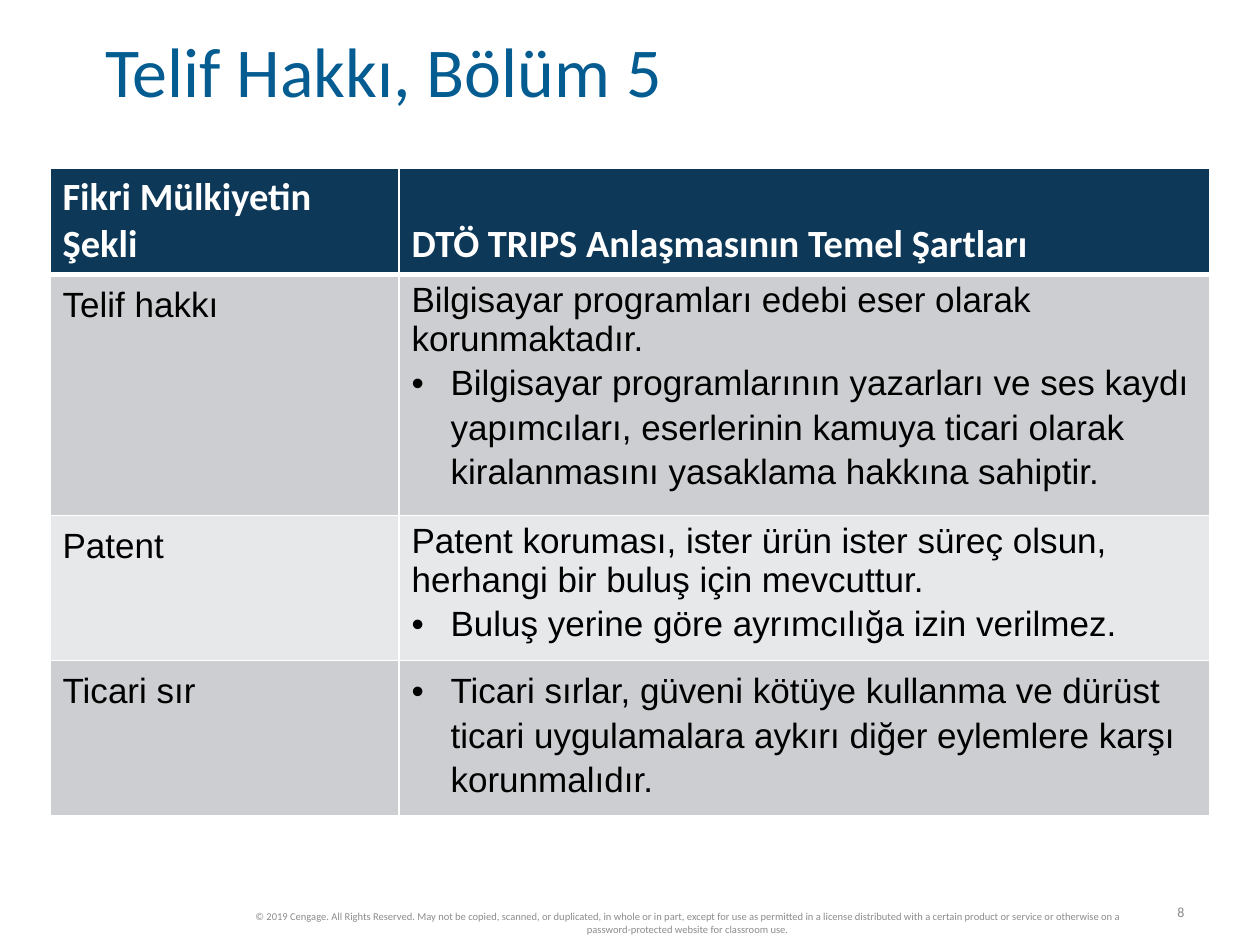
from lxml.etree import SubElement
from pptx import Presentation
from pptx.dml.color import RGBColor
from pptx.enum.text import MSO_ANCHOR, MSO_AUTO_SIZE, PP_ALIGN
from pptx.oxml.ns import qn
from pptx.util import Pt

EMU_PER_PX = 914400 / 126
WHITE = RGBColor(0xFF, 0xFF, 0xFF)
BLACK = RGBColor(0x00, 0x00, 0x00)
BLUE = RGBColor(0x05, 0x5C, 0x91)
NAVY = RGBColor(0x0D, 0x38, 0x57)
DARK_BAND = RGBColor(0xCC, 0xCE, 0xD1)
LIGHT_BAND = RGBColor(0xE7, 0xE8, 0xEA)
GRAY = RGBColor(0x8C, 0x8C, 0x8C)

TITLE_FONT = {"name": "Calibri", "size": Pt(40), "bold": False, "color": BLUE}
HEADER_FONT = {"name": "Calibri", "size": Pt(22), "bold": True, "color": WHITE}
BODY_FONT = {"name": "Arial", "size": Pt(20), "bold": False, "color": BLACK}
NUMBER_FONT = {"name": "Calibri", "size": Pt(8), "color": GRAY}
NOTICE_FONT = {"name": "Calibri", "size": Pt(6), "color": GRAY}

COLUMN_WIDTHS = [349, 811]
ROW_HEIGHTS = [104, 241, 145, 155]
HEADERS = ["Fikri Mülkiyetin Şekli", "DTÖ TRIPS Anlaşmasının Temel Şartları"]
PROTECTIONS = [
    (
        "Telif hakkı",
        "Bilgisayar programları edebi eser olarak korunmaktadır.",
        "Bilgisayar programlarının yazarları ve ses kaydı yapımcıları, "
        "eserlerinin kamuya ticari olarak kiralanmasını yasaklama hakkına sahiptir.",
    ),
    (
        "Patent",
        "Patent koruması, ister ürün ister süreç olsun, herhangi bir buluş için mevcuttur.",
        "Buluş yerine göre ayrımcılığa izin verilmez.",
    ),
    (
        "Ticari sır",
        None,
        "Ticari sırlar, güveni kötüye kullanma ve dürüst ticari uygulamalara "
        "aykırı diğer eylemlere karşı korunmalıdır.",
    ),
]
NOTICE = (
    "© 2019 Cengage. All Rights Reserved. May not be copied, scanned, or duplicated, "
    "in whole or in part, except for use as permitted in a license distributed with a "
    "certain product or service or otherwise on a password-protected website for classroom use."
)


def px(length):
    return round(length * EMU_PER_PX)


def set_format(target, values):
    for name, value in values.items():
        if name == "color":
            target.color.rgb = value
        else:
            setattr(target, name, value)


def write(para, text, font, **layout):
    set_format(para, layout)
    span = para.add_run()
    span.text = text
    set_format(span.font, font)


def add_bullet(para, indent):
    properties = para._p.get_or_add_pPr()
    properties.set("marL", str(px(indent)))
    properties.set("indent", str(-px(indent)))
    SubElement(properties, qn("a:buFont"), typeface="Arial")
    SubElement(properties, qn("a:buChar"), char="•")


def style_cell(cell, fill, top_width, bottom_width):
    properties = cell._tc.get_or_add_tcPr()
    widths = {"lnL": 1, "lnR": 1, "lnT": top_width, "lnB": bottom_width}
    for side, width in widths.items():
        line = SubElement(properties, qn(f"a:{side}"), w=str(Pt(width)))
        solid = SubElement(line, qn("a:solidFill"))
        SubElement(solid, qn("a:srgbClr"), val=str(WHITE))
    cell.fill.solid()
    cell.fill.fore_color.rgb = fill


def add_title(page, left, top, width, height):
    title = page.shapes.title
    box = {"left": left, "top": top, "width": width, "height": height}
    set_format(title, {name: px(value) for name, value in box.items()})
    set_format(title.text_frame, {
        "margin_left": 0, "margin_right": 0, "margin_top": 0, "margin_bottom": 0,
        "vertical_anchor": MSO_ANCHOR.MIDDLE, "auto_size": MSO_AUTO_SIZE.NONE,
    })
    write(title.text_frame.paragraphs[0], "Telif Hakkı, Bölüm 5", TITLE_FONT,
          alignment=PP_ALIGN.LEFT, line_spacing=0.85)


def add_protection_table(page, left, top):
    frame = page.shapes.add_table(
        len(ROW_HEIGHTS), len(COLUMN_WIDTHS), px(left), px(top),
        px(sum(COLUMN_WIDTHS)), px(sum(ROW_HEIGHTS)))
    table = frame.table
    for column, width in zip(table.columns, COLUMN_WIDTHS):
        column.width = px(width)
    for row, height in zip(table.rows, ROW_HEIGHTS):
        row.height = px(height)

    for index, header in enumerate(HEADERS):
        cell = table.cell(0, index)
        style_cell(cell, NAVY, 1, 3)
        cell.vertical_anchor = MSO_ANCHOR.BOTTOM if index else MSO_ANCHOR.TOP
        write(cell.text_frame.paragraphs[0], header, HEADER_FONT)

    for index, (form, statement, provision) in enumerate(PROTECTIONS, start=1):
        fill = DARK_BAND if index % 2 else LIGHT_BAND
        form_cell, terms_cell = table.cell(index, 0), table.cell(index, 1)
        for cell in (form_cell, terms_cell):
            style_cell(cell, fill, 3 if index == 1 else 1, 1)
        write(form_cell.text_frame.paragraphs[0], form, BODY_FONT, line_spacing=1.14)
        para = terms_cell.text_frame.paragraphs[0]
        if statement:
            write(para, statement, BODY_FONT)
            para = terms_cell.text_frame.add_paragraph()
        add_bullet(para, 39)
        write(para, provision, BODY_FONT, line_spacing=1.14)


def add_label(page, left, top, width, height, text, font, alignment, wrap):
    box = page.shapes.add_textbox(px(left), px(top), px(width), px(height))
    set_format(box.text_frame, {"word_wrap": wrap, "vertical_anchor": MSO_ANCHOR.MIDDLE})
    write(box.text_frame.paragraphs[0], text, font, alignment=alignment)


def add_footer(page, left, top):
    add_label(page, left + 934, top, 43, 30, "8", NUMBER_FONT, PP_ALIGN.RIGHT, False)
    add_label(page, left, top + 9, 935, 34, NOTICE, NOTICE_FONT, PP_ALIGN.CENTER, True)


def main():
    deck = Presentation()
    deck.slide_width, deck.slide_height = px(1260), px(945)
    page = deck.slides.add_slide(deck.slide_layouts[5])
    add_title(page, 105, 40, 1106, 73)
    add_protection_table(page, 50, 168)
    add_footer(page, 220, 897)
    deck.save("out.pptx")


if __name__ == "__main__":
    main()
